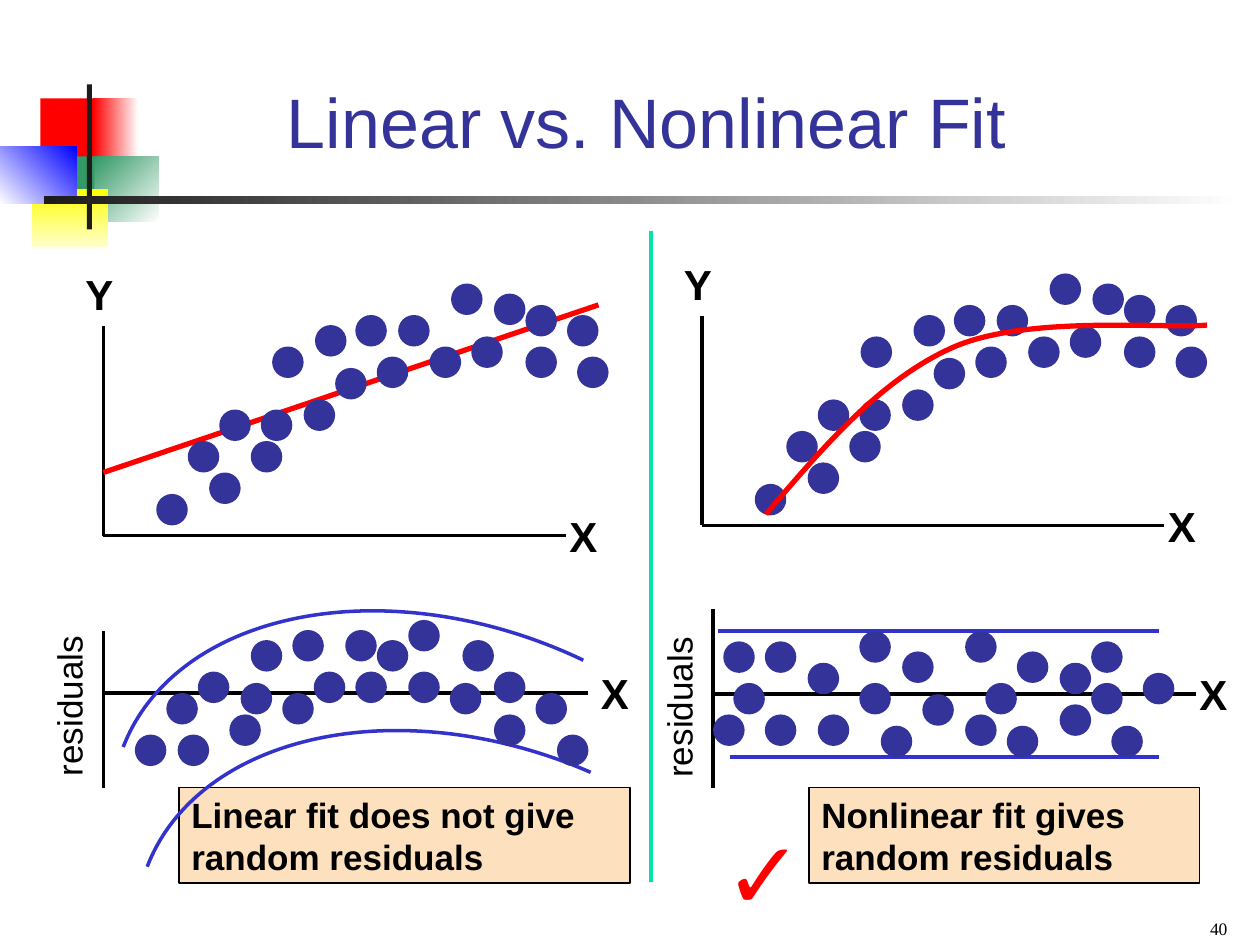
from lxml import etree
from pptx import Presentation
from pptx.dml.color import RGBColor
from pptx.enum.shapes import MSO_CONNECTOR, MSO_SHAPE
from pptx.enum.text import MSO_ANCHOR, PP_ALIGN
from pptx.oxml.ns import qn
from pptx.util import Pt

RECT, OVAL, ARC = MSO_SHAPE.RECTANGLE, MSO_SHAPE.OVAL, MSO_SHAPE.ARC
LINE = MSO_CONNECTOR.STRAIGHT
TOP, BASE = MSO_ANCHOR.TOP, MSO_ANCHOR.BOTTOM
LEFT, MID, RIGHT = PP_ALIGN.LEFT, PP_ALIGN.CENTER, PP_ALIGN.RIGHT

PX = 9144
DOT = 25
DEGREE = 0.6
HEX = {
    "black": "000000", "white": "FFFFFF", "ink": "1C1C1C", "red": "FF0000",
    "green": "339966", "yellow": "FFFF00", "cream": "FFFFCC", "blue": "0000FF",
    "navy": "333399", "band": "3333CC", "peach": "FDE0BD", "mint": "00E4A8",
}

DATA = [
    (42, 133), (84, 116), (234, -9), (259, 16), (310, -26), (117, 91), (292, 8),
    (335, 16), (335, -17), (368, -9), (276, -34), (184, 33), (200, -9), (168, -1),
    (67, 91), (92, 66), (125, 66), (217, 24), (376, 24), (159, 58),
]
BENT = [
    (25, 82), (59, 82), (217, 7), (242, -9), (275, 41), (100, 66), (285, 7),
    (310, 66), (310, 32), (343, 49), (242, 32), (167, 32), (192, -1), (150, -1),
    (50, 49), (75, 32), (109, 41), (200, 32), (117, 7), (360, 82), (142, 49),
]
EVEN = [
    (75, 43), (41, 26), (0, 84), (16, 59), (8, 26), (116, 59), (116, 18), (41, 84),
    (200, 18), (150, 34), (133, 93), (83, 84), (275, 43), (200, 84), (166, 68),
    (275, 76), (216, 59), (233, 93), (241, 34), (316, 93), (300, 26), (341, 51),
    (300, 59),
]
ARCS = [(-3, -3, 99.5), (16, 92, 95.3)]
RAILS = [[(4, 18), (354, 18)], [(13, 118), (354, 118)]]
TREND = [(0, 116), (393, -17)]
BEND = [(51, 157), (97, 103), (143, 49), (201, 24), (260, -1), (368, 10), (401, 7)]


def tint(name):
    return RGBColor.from_string(HEX[name])


def emu(*nums):
    return [round(n * PX) for n in nums]


def text(slide, words, box, size, color="black", bold=False, font="Arial",
         align=LEFT, anchor=TOP, turn=0, shape=None):
    shape = shape or slide.shapes.add_textbox(*emu(*box))
    shape.rotation = turn
    frame = shape.text_frame
    frame.word_wrap = True
    frame.vertical_anchor = anchor
    frame.margin_left = frame.margin_right = 10 * PX
    frame.margin_top = frame.margin_bottom = 5 * PX
    para = frame.paragraphs[0]
    para.alignment = align
    run = para.add_run()
    run.text = words
    run.font.size = Pt(size)
    run.font.name = font
    run.font.bold = bold
    run.font.color.rgb = tint(color)


def block(slide, box, fill, kind=RECT, fade=None, angle=0, edge=None):
    shape = slide.shapes.add_shape(kind, *emu(*box))
    shape.shadow.inherit = False
    if fade:
        shape.fill.gradient()
        shape.fill.gradient_angle = 360 - angle
        for stop, name in zip(shape.fill.gradient_stops, (fill, fade)):
            stop.color.rgb = tint(name)
    else:
        shape.fill.solid()
        shape.fill.fore_color.rgb = tint(fill)
    if edge:
        shape.line.color.rgb = tint(edge)
        shape.line.width = Pt(1)
    else:
        shape.line.fill.background()
    return shape


def rule(slide, x, y, ends, color="black", width=2):
    (ax, ay), (bx, by) = ends
    line = slide.shapes.add_connector(LINE, *emu(x + ax, y + ay, x + bx, y + by))
    line.line.color.rgb = tint(color)
    line.line.width = Pt(width)
    etree.SubElement(line._element.spPr, qn("a:effectLst"))


def stroke(shape, color, width):
    shape.shadow.inherit = False
    shape.fill.background()
    shape.line.color.rgb = tint(color)
    shape.line.width = Pt(width)


def arc(slide, x, y, sweep):
    shape = slide.shapes.add_shape(ARC, *emu(x, y, 567, 393))
    shape.rotation = 201
    shape.adjustments[0] = 0
    shape.adjustments[1] = sweep * DEGREE
    stroke(shape, "band", 2)


def curve(slide, x, y, knots, color, width):
    spots = [emu(x + px, y + py) for px, py in knots]
    pen = slide.shapes.build_freeform(*spots[0], scale=1.0)
    pen.add_line_segments(spots[1:], close=False)
    shape = pen.convert_to_shape()
    legs = list(shape._element.iter(qn("a:lnTo")))
    for i in range(0, len(legs), 3):
        bow = etree.SubElement(legs[i].getparent(), qn("a:cubicBezTo"))
        for leg in legs[i:i + 3]:
            bow.append(leg[0])
            leg.getparent().remove(leg)
    stroke(shape, color, width)


def dots(slide, x, y, spots):
    for px, py in spots:
        block(slide, (x + px, y + py, DOT, DOT), "navy", kind=OVAL)


def motif(slide, x, y):
    block(slide, (x + 32, y + 11, 48, 52), "red")
    block(slide, (x + 74, y + 11, 36, 52), "white", fade="red", angle=180)
    block(slide, (x + 75, y + 57, 51, 52), "white", fade="green", angle=225)
    block(slide, (x + 43, y + 57, 32, 52), "green")
    block(slide, (x + 25, y + 83, 61, 46), "yellow", fade="cream", angle=90)
    block(slide, (x, y + 49, 61, 46), "blue", fade="white", angle=135)
    block(slide, (x + 69, y, 4, 115), "ink")
    block(slide, (x + 35, y + 89, 951, 6), "white", fade="ink", angle=180)


def scatter(slide, x, y, lone, trend=None, bend=None):
    rule(slide, x, y, [(0, 0), (0, 166)])
    rule(slide, x, y, [(0, 166), (367, 166)])
    if trend:
        rule(slide, x, y, trend, "red", 3)
    dots(slide, x, y, DATA + [lone])
    text(slide, "Y", (x - 24, y - 51, 42, 50), 24, bold=True)
    text(slide, "X", (x + 360, y + 141, 51, 50), 24, bold=True)
    if bend:
        curve(slide, x, y, bend, "red", 3)


def errors(slide, x, y, high, mid, wide, label, spots, arcs=(), rails=()):
    rule(slide, x, y, [(0, 0), (0, high)])
    rule(slide, x, y, [(0, mid), (wide, mid)])
    for px, py, sweep in arcs:
        arc(slide, x + px, y + py, sweep)
    for ends in rails:
        rule(slide, x, y, ends, "band", 2)
    dots(slide, x, y, spots)
    text(slide, "X", (x + label, y + mid - 25, 44, 50), 24, bold=True)
    text(slide, "residuals", (x - 99, y + mid - 17, 143, 43), 20, turn=270)


def note(slide, words, box):
    shape = block(slide, box, "peach", edge="black")
    text(slide, words, box, 20, bold=True, shape=shape)


def main():
    deck = Presentation()
    deck.slide_width, deck.slide_height = emu(1000, 750)
    slide = deck.slides.add_slide(deck.slide_layouts[6])
    motif(slide, 0, 67)
    note(slide, "Linear fit does not give random residuals", (142, 625, 358, 76))
    text(slide, "Linear vs. Nonlinear Fit", (126, 25, 774, 109), 40, "navy",
         align=MID, anchor=BASE)
    note(slide, "Nonlinear fit gives random residuals", (642, 625, 310, 76))
    text(slide, "✓", (565, 642, 143, 100), 54, "red")
    errors(slide, 82, 501, 124, 49, 385, 385, BENT, arcs=ARCS)
    errors(slide, 566, 483, 142, 68, 383, 376, EVEN, rails=RAILS)
    scatter(slide, 82, 259, (134, 16), trend=TREND)
    rule(slide, 517, 183, [(0, 0), (0, 517)], "mint", 2.25)
    scatter(slide, 557, 251, (126, 16), bend=BEND)
    text(slide, "40", (750, 715, 234, 35), 10, font="Times New Roman",
         align=RIGHT, anchor=BASE)
    deck.save("out.pptx")


if __name__ == "__main__":
    main()
